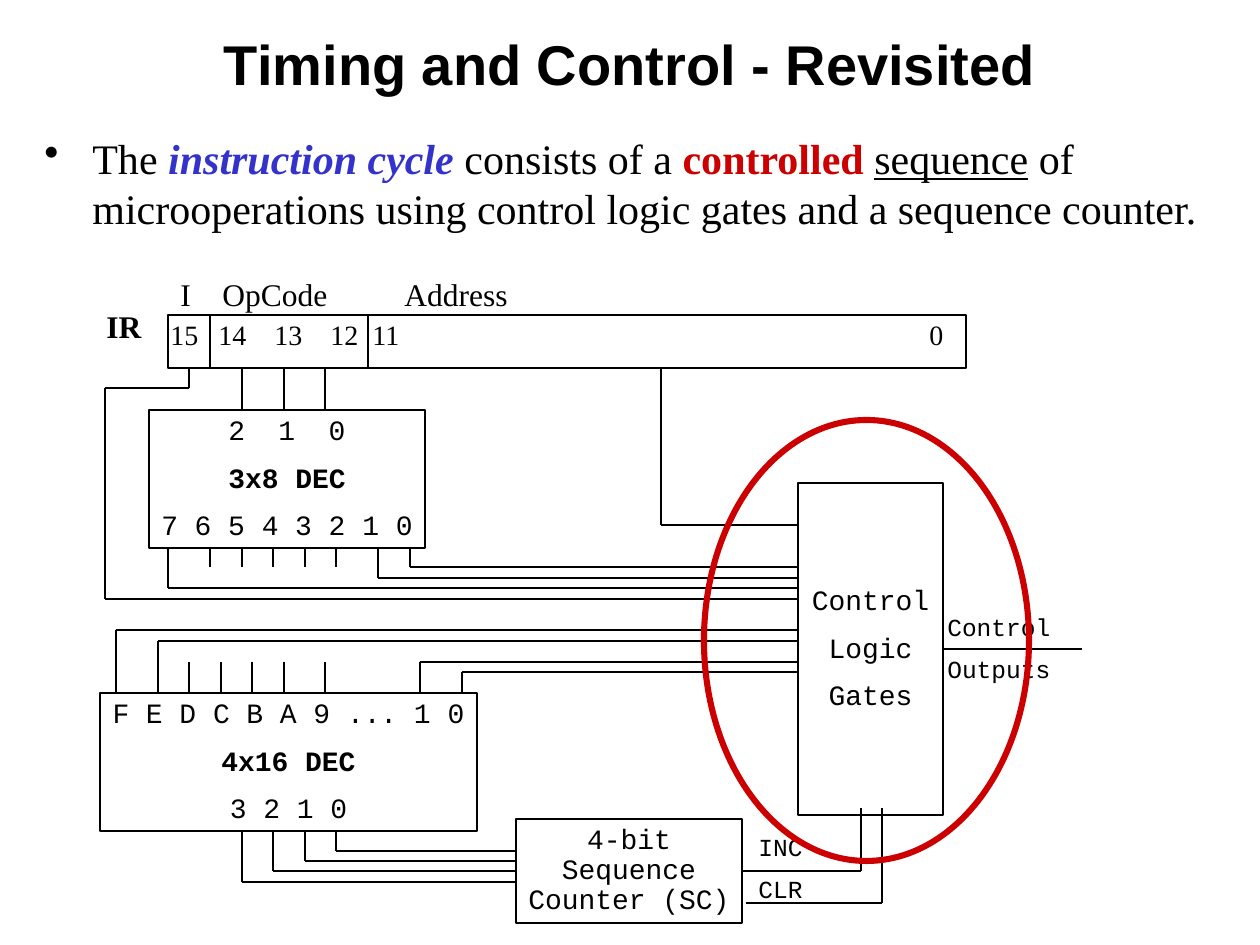
from dataclasses import dataclass

from lxml.etree import SubElement
from pptx import Presentation
from pptx.dml.color import RGBColor
from pptx.enum.shapes import MSO_CONNECTOR, MSO_SHAPE
from pptx.enum.text import MSO_ANCHOR, PP_ALIGN
from pptx.oxml.ns import qn
from pptx.util import Pt

EMU_PER_PX = 914400 / 126


def px(n):
    """Turn whole pixels into EMU."""
    return round(n * EMU_PER_PX)


@dataclass(frozen=True)
class Theme:
    """Colours, fonts and type sizes of the slide."""
    ink: RGBColor = RGBColor(0, 0, 0)
    paper: RGBColor = RGBColor(255, 255, 255)
    blue: RGBColor = RGBColor(0x33, 0x33, 0xCC)
    red: RGBColor = RGBColor(0xCC, 0, 0)
    heading: str = "Arial"
    serif: str = "Times New Roman"
    mono: str = "Courier New"
    title: int = 32
    body: int = 24
    label: int = 18
    block: int = 16
    signal: int = 14
    thin: float = 0.75
    thick: float = 3.5


class Diagram:
    """Draws styled elements on the current slide."""

    def __init__(self, slide, theme):
        self.s = slide
        self.t = theme

    def style(self, r, font, size, color=None, bold=False):
        """Format one run."""
        r.font.name = font
        r.font.size = Pt(size)
        r.font.bold = bold
        r.font.color.rgb = color or self.t.ink

    def fill_text(self, sp, text, font, size, align, bold=(), before=None):
        """Put plain paragraphs into a shape and format them."""
        tf = sp.text_frame
        tf.word_wrap = False
        tf.text = text
        for i, p in enumerate(tf.paragraphs):
            p.alignment = align
            p.line_spacing = 0.9
            p.space_before = Pt(size * 0.625 if before is None else before)
            for r in p.runs:
                self.style(r, font, size, bold=i in bold)
        return tf

    def text(self, box, text, font, size, align=PP_ALIGN.LEFT, bold=(), stops=()):
        """Add a text box, with tab stops where columns are needed."""
        sp = self.s.shapes.add_textbox(*map(px, box))
        tf = self.fill_text(sp, text, font, size, align, bold)
        if stops:
            tabs = SubElement(tf.paragraphs[0]._p.get_or_add_pPr(), qn("a:tabLst"))
            for stop in stops:
                SubElement(tabs, qn("a:tab"), pos=str(px(stop)), algn="l")
        return tf

    def bullet(self, box, parts):
        """Add one bulleted paragraph made of (text, color, bold, italic, underline)."""
        sp = self.s.shapes.add_textbox(*map(px, box))
        tf = sp.text_frame
        tf.word_wrap = True
        p = tf.paragraphs[0]
        p.space_before = Pt(6)
        pPr = p._p.get_or_add_pPr()
        pPr.set("marL", str(px(48)))
        pPr.set("indent", str(px(-48)))
        SubElement(pPr, qn("a:buChar"), char="•")
        for text, color, bold, italic, underline in parts:
            r = p.add_run()
            r.text = text
            self.style(r, self.t.serif, self.t.body, color, bold)
            r.font.italic = italic
            r.font.underline = underline

    def shape(self, kind, box, color, width, filled=False):
        """Add an outlined preset shape."""
        sp = self.s.shapes.add_shape(kind, *map(px, box))
        sp.shadow.inherit = False
        sp.line.color.rgb = color
        sp.line.width = Pt(width)
        if filled:
            sp.fill.solid()
            sp.fill.fore_color.rgb = self.t.paper
        else:
            sp.fill.background()
        return sp

    def block(self, box, text="", bold=(), anchor=MSO_ANCHOR.TOP, filled=False):
        """Add a rectangle with centred monospaced text."""
        sp = self.shape(MSO_SHAPE.RECTANGLE, box, self.t.ink, self.t.thin, filled)
        if text:
            tf = self.fill_text(sp, text, self.t.mono, self.t.block, PP_ALIGN.CENTER, bold)
            tf.vertical_anchor = anchor
        return sp

    def wire(self, *points, begin=None, end=None):
        """Join points with straight connectors, glued to (shape, side) at the ends."""
        cxns = []
        for a, b in zip(points, points[1:]):
            c = self.s.shapes.add_connector(MSO_CONNECTOR.STRAIGHT, *map(px, a + b))
            c.line.color.rgb = self.t.ink
            c.line.width = Pt(self.t.thin)
            SubElement(c._element.spPr, qn("a:effectLst"))
            cxns.append(c)
        if begin:
            cxns[0].begin_connect(*begin)
        if end:
            cxns[-1].end_connect(*end)


def build():
    """Build the slide and save it."""
    prs = Presentation()
    prs.slide_width, prs.slide_height = px(1260), px(945)
    t = Theme()
    d = Diagram(prs.slides.add_slide(prs.slide_layouts[6]), t)

    tf = d.text((0, 0, 1260, 126), "Timing and Control - Revisited", t.heading, t.title,
                PP_ALIGN.CENTER, bold=(0,))
    tf.vertical_anchor = MSO_ANCHOR.MIDDLE
    tf.word_wrap = True
    tf.paragraphs[0].line_spacing = 1.0
    tf.paragraphs[0].space_before = Pt(0)
    d.bullet((32, 126, 1187, 116), [
        ("The ", t.ink, False, False, False),
        ("instruction cycle", t.blue, True, True, False),
        (" consists of a ", t.ink, False, False, False),
        ("controlled ", t.red, True, False, False),
        ("sequence", t.ink, False, False, True),
        (" of microoperations using control logic gates and a sequence counter.",
         t.ink, False, False, False),
    ])

    d.block((168, 315, 200, 53))
    d.block((368, 315, 598, 53))
    d.wire((210, 315), (210, 368))
    d.text((168, 273, 418, 47), "I\tOpCode\tAddress", t.serif, t.label, stops=(42, 224))
    d.text((158, 315, 819, 43), "15\t14\t13\t12\t11\t0", t.serif, t.block,
           stops=(48, 104, 160, 202, 759))
    d.text((94, 305, 73, 47), "IR", t.serif, t.label, bold=(0,))

    opcode = d.block((149, 410, 276, 138), "2 1 0\n3x8 DEC\n7 6 5 4 3 2 1 0", (1,), filled=True)
    for r in opcode.text_frame.paragraphs[0].runs:
        r._r.get_or_add_rPr().set("spc", "480")
    d.block((100, 693, 377, 138), "F E D C B A 9 ... 1 0\n4x16 DEC\n3 2 1 0", (1,))
    counter = d.block((516, 819, 226, 104), "4-bit\vSequence\vCounter (SC)")
    control = d.block((798, 483, 145, 332), "Control\nLogic\nGates", anchor=MSO_ANCHOR.MIDDLE)
    d.text((746, 829, 69, 81), "INC\nCLR", t.mono, t.signal, PP_ALIGN.CENTER)
    d.text((935, 609, 128, 81), "Control\nOutputs", t.mono, t.signal, PP_ALIGN.CENTER)

    stubs = [((242, 284, 325), 368, 410),
             ((210, 242, 273, 305, 336), 548, 567),
             ((189, 221, 252, 284, 325), 693, 662)]
    for xs, y1, y2 in stubs:
        for x in xs:
            d.wire((x, y1), (x, y2))

    to_control = [(661, 368, 525), (410, 548, 567), (378, 548, 578), (168, 548, 588),
                  (116, 693, 630), (158, 693, 641), (420, 693, 662), (462, 693, 672)]
    for x, y1, y2 in to_control:
        d.wire((x, y1), (x, y2), (798, y2))
    d.wire((189, 368), (189, 388), (105, 388), (105, 599), (798, 599))

    for x, y in ((336, 851), (305, 861), (273, 871), (242, 882)):
        d.wire((x, 830), (x, y), (516, y), end=(counter, 1) if y == 871 else None)
    d.wire((742, 871), (861, 871), (861, 808), begin=(counter, 3))
    d.wire((746, 903), (882, 903), (882, 808))
    d.wire((943, 649), (1082, 649), begin=(control, 3))

    d.shape(MSO_SHAPE.OVAL, (704, 420, 325, 441), t.red, t.thick)
    prs.save("out.pptx")


if __name__ == "__main__":
    build()
